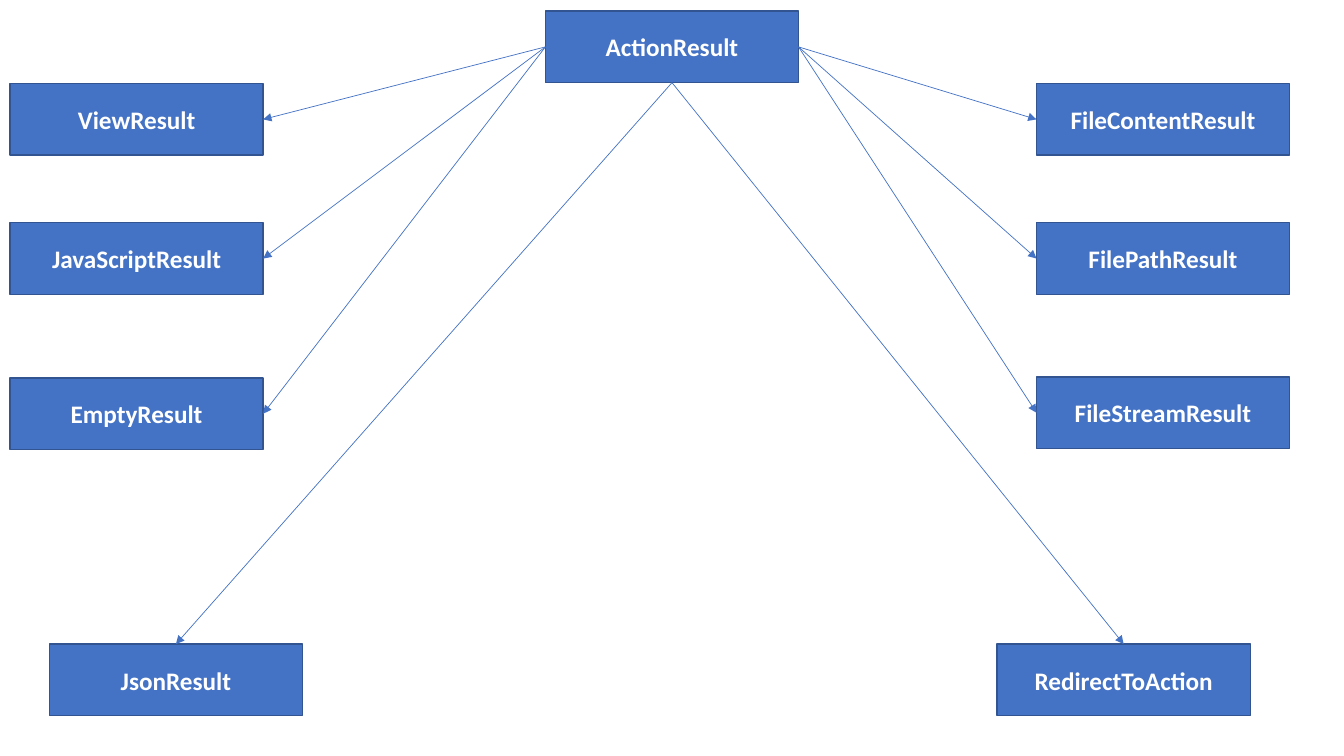
from dataclasses import dataclass

from lxml.etree import SubElement
from pptx import Presentation
from pptx.dml.color import RGBColor
from pptx.enum.shapes import MSO_CONNECTOR as Connector, MSO_SHAPE as Shape
from pptx.enum.text import MSO_ANCHOR as Anchor, PP_ALIGN as Align
from pptx.oxml.ns import qn
from pptx.util import Pt

EMU_PER_PX = 9144  # 100 px to the inch
SLIDE_SIZE = (1333, 750)
BOX_SIZE = (251, 71)
TOP, LEFT, BOTTOM, RIGHT = range(4)  # connection sites of a rectangle


@dataclass(frozen=True)
class Theme:
    fill: RGBColor = RGBColor.from_string("4472C4")
    border: RGBColor = RGBColor.from_string("325491")
    arrow: RGBColor = RGBColor.from_string("4472C4")
    text: RGBColor = RGBColor.from_string("FFFFFF")
    font: str = "Calibri"
    text_size: Pt = Pt(18)
    border_width: Pt = Pt(1)
    arrow_width: Pt = Pt(0.5)


THEME = Theme()

# Derived classes: name, left, top, side of the base, side of the derived class
DERIVED = [
    ("ViewResult", 10, 83, LEFT, RIGHT),
    ("JavaScriptResult", 10, 221, LEFT, RIGHT),
    ("EmptyResult", 10, 375, LEFT, RIGHT),
    ("FileContentResult", 1028, 83, RIGHT, LEFT),
    ("FilePathResult", 1028, 221, RIGHT, LEFT),
    ("FileStreamResult", 1028, 374, RIGHT, LEFT),
    ("JsonResult", 49, 639, BOTTOM, TOP),
    ("RedirectToAction", 989, 639, BOTTOM, TOP),
]


def px(length):
    return length * EMU_PER_PX


def add_class_box(slide, name, left, top):
    box = slide.shapes.add_shape(Shape.RECTANGLE, px(left), px(top), *map(px, BOX_SIZE))
    box.shadow.inherit = False
    box.fill.solid()
    box.fill.fore_color.rgb = THEME.fill
    box.line.color.rgb = THEME.border
    box.line.width = THEME.border_width

    # Centred class name
    frame = box.text_frame
    frame.word_wrap = True
    frame.vertical_anchor = Anchor.MIDDLE
    paragraph = frame.paragraphs[0]
    paragraph.alignment = Align.CENTER
    run = paragraph.add_run()
    run.text = name
    run.font.name = THEME.font
    run.font.size = THEME.text_size
    run.font.bold = True
    run.font.color.rgb = THEME.text
    return box


def add_arrow(slide, base, base_side, derived, derived_side):
    arrow = slide.shapes.add_connector(Connector.STRAIGHT, 0, 0, 0, 0)
    arrow.begin_connect(base, base_side)
    arrow.end_connect(derived, derived_side)
    arrow.line.color.rgb = THEME.arrow
    arrow.line.width = THEME.arrow_width

    # Arrowhead, and no shadow
    properties = arrow._element.spPr
    SubElement(properties.find(qn("a:ln")), qn("a:tailEnd"), type="triangle")
    SubElement(properties, qn("a:effectLst"))


def main():
    deck = Presentation()
    deck.slide_width, deck.slide_height = map(px, SLIDE_SIZE)
    slide = deck.slides.add_slide(deck.slide_layouts[6])

    # Base class
    action_result = add_class_box(slide, "ActionResult", 541, 11)

    # Derived classes, each with its arrow
    for name, left, top, base_side, derived_side in DERIVED:
        derived = add_class_box(slide, name, left, top)
        add_arrow(slide, action_result, base_side, derived, derived_side)

    deck.save("out.pptx")


if __name__ == "__main__":
    main()
